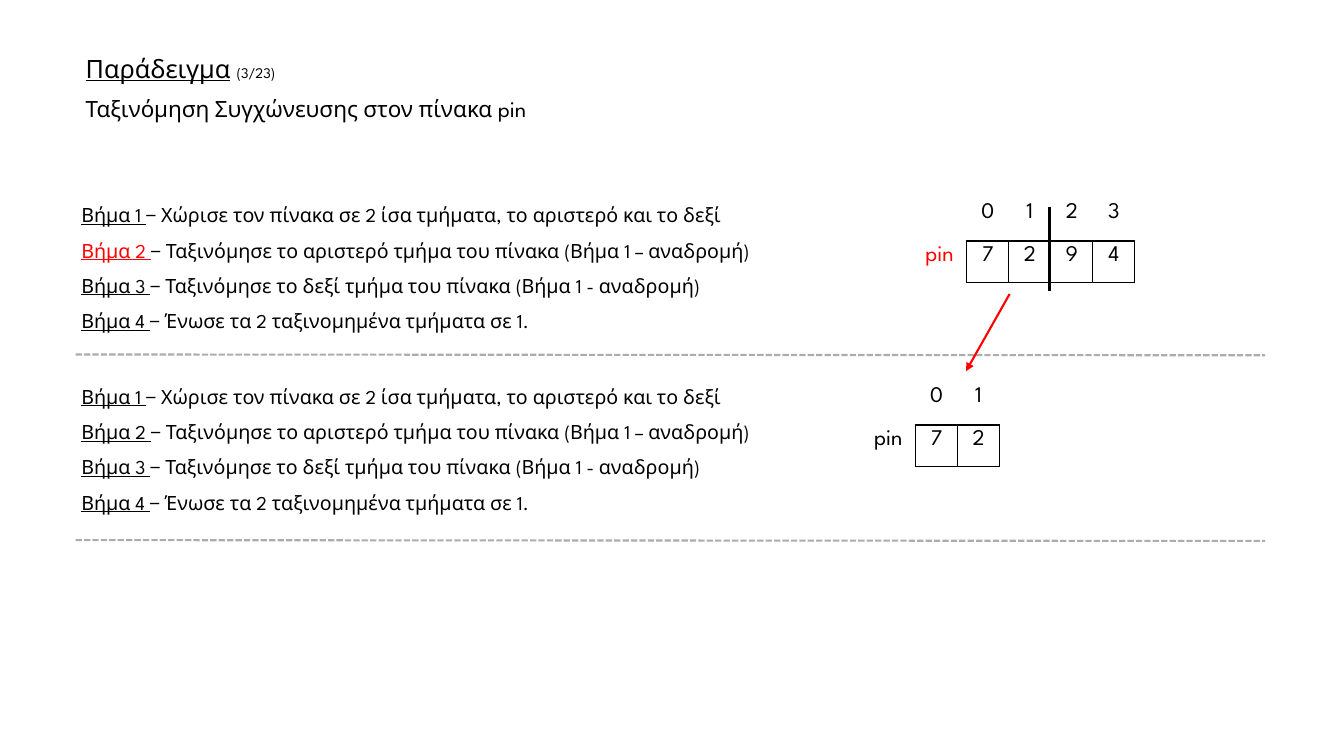
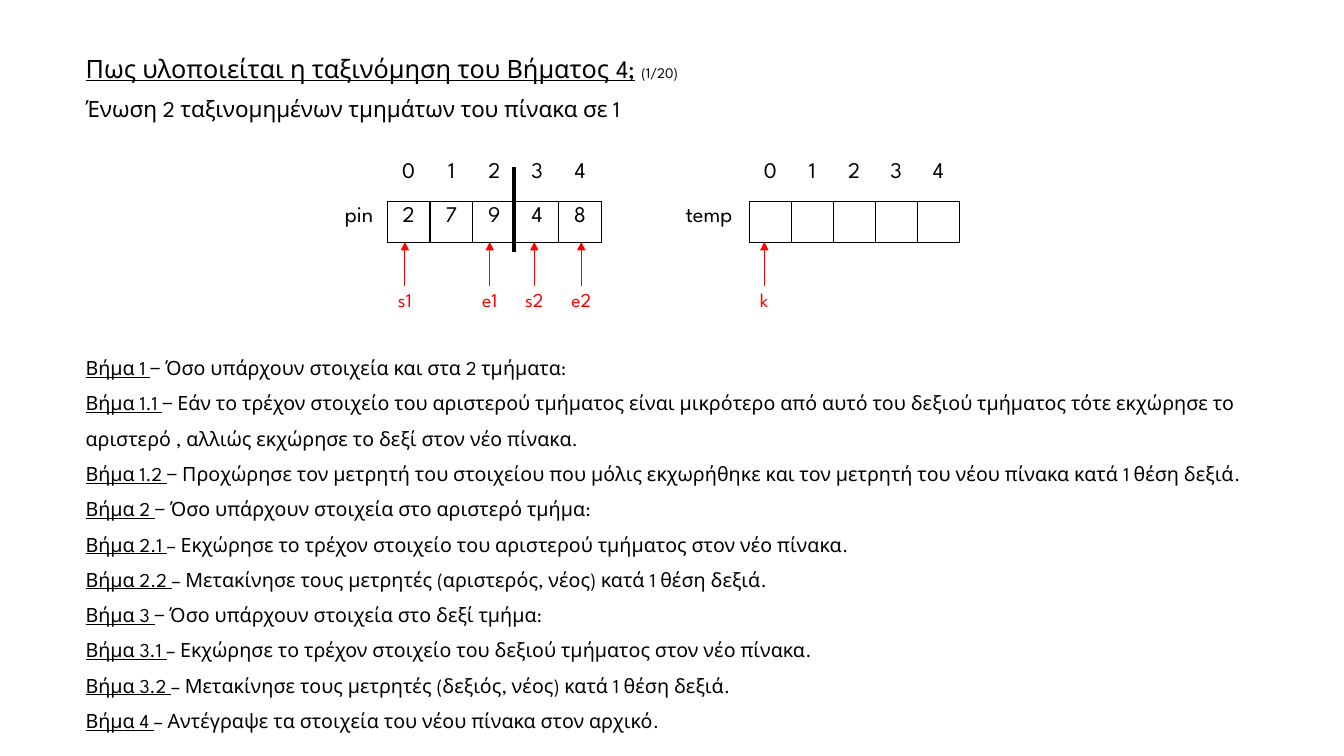
from dataclasses import dataclass
from typing import NamedTuple

from lxml import etree
from pptx import Presentation, util as u
from pptx.dml.color import RGBColor
from pptx.enum import dml, shapes, text
from pptx.oxml import ns

FONT = "League Spartan"
HUES = {"ink": "000000", "hot": "FF0000", "rule": "AFABAB"}
WIDE, HIGH = u.Inches(13.33), u.Inches(7.5)
COLS, ROWS = 160, 90
HEAD_ROW, CELL_ROW = 5.2, 4.9
PLAIN = "{2D5ABB26-0587-4C30-8999-92F81FD0307C}"


class Run(NamedTuple):
    words: str
    under: bool = False
    hue: str = "ink"
    size: float | None = None


class Step(NamedTuple):
    mark: str
    words: str


@dataclass
class Array:
    """A named array; split counts the cells left of the thick bar."""
    name: str
    x: float
    y: float
    label: float
    cell: float
    values: list[str]
    split: int = 0
    hue: str = "ink"


class Mark(NamedTuple):
    name: str
    x: float


SORT = [
    Step("1", "− Χώρισε τον πίνακα σε 2 ίσα τμήματα, το αριστερό και το δεξί"),
    Step("2", "− Ταξινόμησε το αριστερό τμήμα του πίνακα (Βήμα 1 – αναδρομή)"),
    Step("3", "− Ταξινόμησε το δεξί τμήμα του πίνακα (Βήμα 1 - αναδρομή)"),
    Step("4", "− Ένωσε τα 2 ταξινομημένα τμήματα σε 1."),
]
MERGE = [
    Step("1", "− Όσο υπάρχουν στοιχεία και στα 2 τμήματα:"),
    Step("1.1", "− Εάν το τρέχον στοιχείο του αριστερού τμήματος είναι μικρότερο "
         "από αυτό του δεξιού τμήματος τότε εκχώρησε το αριστερό , αλλιώς "
         "εκχώρησε το δεξί στον νέο πίνακα."),
    Step("1.2", "− Προχώρησε τον μετρητή του στοιχείου που μόλις εκχωρήθηκε και "
         "τον μετρητή του νέου πίνακα κατά 1 θέση δεξιά."),
    Step("2", "− Όσο υπάρχουν στοιχεία στο αριστερό τμήμα:"),
    Step("2.1", "– Εκχώρησε το τρέχον στοιχείο του αριστερού τμήματος στον νέο πίνακα."),
    Step("2.2", "– Μετακίνησε τους μετρητές (αριστερός, νέος) κατά 1 θέση δεξιά."),
    Step("3", "− Όσο υπάρχουν στοιχεία στο δεξί τμήμα:"),
    Step("3.1", "– Εκχώρησε το τρέχον στοιχείο του δεξιού τμήματος στον νέο πίνακα."),
    Step("3.2", "– Μετακίνησε τους μετρητές (δεξιός, νέος) κατά 1 θέση δεξιά."),
    Step("4", "– Αντέγραψε τα στοιχεία του νέου πίνακα στον αρχικό."),
]
MARKS = [Mark("s1", 48.2), Mark("e1", 58.3), Mark("s2", 63.6),
         Mark("e2", 69.2), Mark("k", 91)]


def col(count: float) -> int:
    return round(WIDE * count / COLS)


def row(count: float) -> int:
    return round(HIGH * count / ROWS)


def tint(hue: str) -> RGBColor:
    return RGBColor.from_string(HUES[hue])


def write(frame, paras: list[list[Run]], *, size: float = 14, pitch: float = 1,
          gap: float = 0, align=text.PP_ALIGN.LEFT) -> None:
    """Fill a text frame; gap is the space between paragraphs in points."""
    for index, runs in enumerate(paras):
        para = frame.add_paragraph() if index else frame.paragraphs[0]
        para.alignment, para.line_spacing = align, pitch
        para.space_before = u.Pt(gap if index else 0)
        for item in runs:
            run = para.add_run()
            run.text = item.words
            font = run.font
            font.name, font.size = FONT, u.Pt(item.size or size)
            font.underline = item.under
            font.color.rgb = tint(item.hue)


def box(slide, x: float, y: float, w: float, h: float):
    frame = slide.shapes.add_textbox(col(x), row(y), col(w), row(h)).text_frame
    frame.word_wrap = True
    return frame


def line(slide, start: tuple, end: tuple, *, hue: str = "ink", width: float = 1,
         dash: bool = False, arrow: bool = False) -> None:
    link = slide.shapes.add_connector(
        shapes.MSO_CONNECTOR.STRAIGHT,
        col(start[0]), row(start[1]), col(end[0]), row(end[1]))
    link.line.color.rgb = tint(hue)
    link.line.width = u.Pt(width)
    if dash:
        link.line.dash_style = dml.MSO_LINE.SQUARE_DOT
    if arrow:
        etree.SubElement(link.line._get_or_add_ln(), ns.qn("a:tailEnd"), type="triangle")
    etree.SubElement(link._element.spPr, ns.qn("a:effectLst"))


def edge(cell, sides: str) -> None:
    """Draw thin borders on the sides named by letters of LRTB, in that order."""
    props = cell._tc.get_or_add_tcPr()
    for side in sides:
        rim = etree.SubElement(props, ns.qn(f"a:ln{side}"), w=str(u.Pt(1)))
        fill = etree.SubElement(rim, ns.qn("a:solidFill"))
        etree.SubElement(fill, ns.qn("a:srgbClr"), val=HUES["ink"])


def grid(slide, array: Array) -> None:
    count = len(array.values)
    table = slide.shapes.add_table(
        2, count + 1, col(array.x), row(array.y),
        col(array.label + count * array.cell), row(HEAD_ROW + CELL_ROW)).table
    table.first_row = table.horz_banding = False
    table._tbl.tblPr.find(ns.qn("a:tableStyleId")).text = PLAIN
    for part, high in zip(table.rows, (HEAD_ROW, CELL_ROW)):
        part.height = row(high)
    for index, part in enumerate(table.columns):
        part.width = col(array.cell if index else array.label)
    lines = [["", *map(str, range(count))], [array.name, *array.values]]
    for r, words in enumerate(lines):
        for c, word in enumerate(words):
            cell = table.cell(r, c)
            if c:
                edge(cell, "LRTB" if r else "B")
            elif r:
                edge(cell, "R")
            cell.fill.background()
            hue = "ink" if c else array.hue
            write(cell.text_frame, [[Run(word, hue=hue)]], size=16,
                  align=text.PP_ALIGN.CENTER)
    if array.split:
        x = array.x + array.label + array.split * array.cell - 0.2
        line(slide, (x, array.y + 11.2), (x, array.y + 1.1), width=2.25)


def steps(slide, items: list[Step], x: float, y: float, w: float, h: float,
          hot: str = "") -> None:
    paras = [[Run(f"Βήμα {item.mark} ", True, "hot" if item.mark == hot else "ink"),
              Run(item.words)] for item in items]
    write(box(slide, x, y, w, h), paras, pitch=1.5)


def mark(slide, item: Mark) -> None:
    """Place a red index name with an arrow up to its cell."""
    wide, top = 5.6, 34
    write(box(slide, item.x - wide / 2, top, wide, 4.2),
          [[Run(item.name, hue="hot")]], pitch=0.9, align=text.PP_ALIGN.CENTER)
    line(slide, (item.x, top), (item.x, 28.8), hue="hot", width=0.5, arrow=True)


def page(deck, title: str, count: str, topic: str):
    slide = deck.slides.add_slide(deck.slide_layouts[5])
    head = slide.shapes.title
    head.left, head.top = col(9), row(6.2)
    head.width, head.height = col(129.5), row(9.2)
    frame = head.text_frame
    frame.word_wrap = True
    frame.auto_size = text.MSO_AUTO_SIZE.NONE
    frame.vertical_anchor = text.MSO_ANCHOR.TOP
    write(frame, [[Run(title, True), Run(" "), Run(count, size=10.5)],
                  [Run(topic, size=16)]], size=18, pitch=0.9, gap=10)
    return slide


def split(deck) -> None:
    slide = page(deck, "Παράδειγμα", "(3/23)", "Ταξινόμηση Συγχώνευσης στον πίνακα pin")
    for y, hot in ((22.2, "2"), (43.8, "")):
        steps(slide, SORT, 8.5, y, 84.4, 17.6, hot)
    for y in (42.2, 64.3):
        line(slide, (9, y), (150.6, y + 0.1), hue="rule", width=1.5, dash=True)
    grid(slide, Array("pin", 108.6, 23.5, 6.5, 5, list("7294"), split=2, hue="hot"))
    grid(slide, Array("pin", 102.5, 45.4, 6.5, 5, list("72")))
    line(slide, (120.2, 35), (115, 44.2), hue="hot", width=1.5, arrow=True)


def merge(deck) -> None:
    slide = page(deck, "Πως υλοποιείται η ταξινόμηση του Βήματος 4;", "(1/20)",
                 "Ένωση 2 ταξινομημένων τμημάτων του πίνακα σε 1")
    grid(slide, Array("pin", 39.4, 18.8, 6.7, 5.1, list("27948"), split=3))
    grid(slide, Array("temp", 79.6, 18.8, 9.6, 5, [""] * 5))
    for item in MARKS:
        mark(slide, item)
    steps(slide, MERGE, 9, 40.4, 148.2, 47.3)


def main() -> None:
    deck = Presentation()
    deck.slide_width, deck.slide_height = WIDE, HIGH
    split(deck)
    merge(deck)
    deck.save("out.pptx")


if __name__ == "__main__":
    main()
